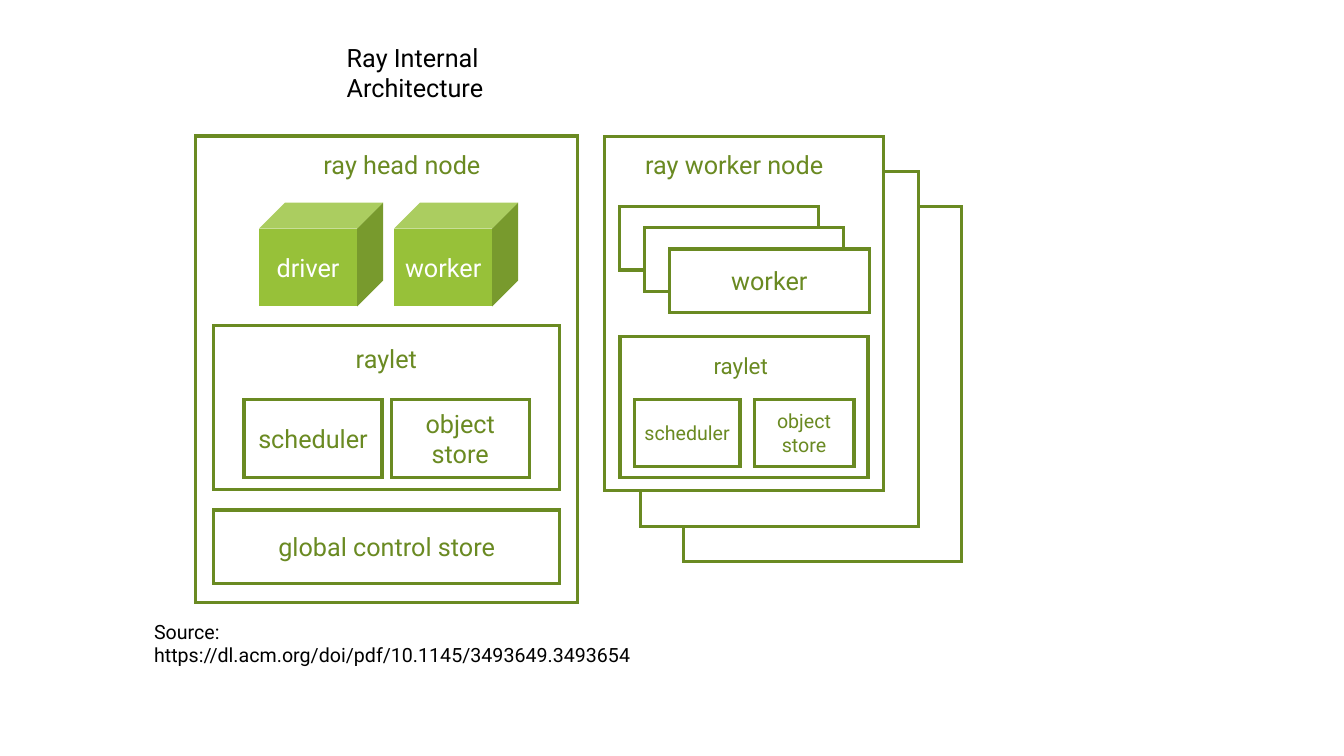
from lxml import etree
from pptx import Presentation
from pptx.dml.color import RGBColor
from pptx.enum.shapes import MSO_SHAPE as SHAPE
from pptx.enum.text import MSO_ANCHOR as ANCHOR, PP_ALIGN as ALIGN
from pptx.oxml.ns import qn
from pptx.util import Pt

PX = 9144  # 100 px to the inch
GREEN = RGBColor(0x6A, 0x8A, 0x22)
LIME = RGBColor(0x97, 0xC1, 0x39)
WHITE = RGBColor(0xFF, 0xFF, 0xFF)
BLACK = RGBColor(0x00, 0x00, 0x00)
FONT = "Roboto"

# Labels: text, (left, top, width, height), size, colour
LABELS = [
    ("Ray Internal\vArchitecture", (334, 37, 289, 70), 18, BLACK),
    ("Source:\vhttps://dl.acm.org/doi/pdf/10.1145/3493649.3493654",
     (143, 610, 540, 57), 14, BLACK),
    ("ray head node", (311, 143, 178, 40), 18, GREEN),
    ("raylet", (343, 336, 82, 40), 18, GREEN),
    ("ray worker node", (630, 143, 215, 43), 18, GREEN),
    ("raylet", (698, 344, 76, 37), 16, GREEN),
]

# Boxes: text, (left, top, width, height), size
HEAD_BOXES = [
    ("", (194, 135, 379, 463), 18),
    ("global control store", (212, 506, 343, 73), 18),
    ("", (212, 323, 343, 163), 18),
    ("scheduler", (242, 396, 137, 78), 18),
    ("object store", (388, 396, 137, 78), 18),
]
WORKER_RAYLET_BOXES = [
    ("", (615, 334, 246, 140), 18),
    ("scheduler", (629, 396, 105, 67), 14),
    ("object store", (748, 396, 99, 67), 14),
]
HEAD_PROCESSES = ["driver", "worker"]
CUBE_LEFT, CUBE_TOP, CUBE_WIDTH, CUBE_HEIGHT, CUBE_STEP = 257, 201, 123, 103, 134

# Stacks run from back to front
NODE_CORNERS = [(678, 205), (635, 170), (600, 135)]
NODE_SIZE = (276, 352)
WORKER_STACK = ["", "", "worker"]
WORKER_LEFT, WORKER_TOP, WORKER_SIZE = 614, 205, (198, 63)
WORKER_STEP_X, WORKER_STEP_Y = 25, 21


def scaled(box):
    return [v * PX for v in box]


def style_text(tf, text, size, color, align):
    tf.word_wrap = True
    p = tf.paragraphs[0]
    p.text = text
    p.alignment = align
    p.font.name = FONT
    p.font.size = Pt(size)
    p.font.color.rgb = color


def add_label(text, box, size, color):
    tf = s.shapes.add_textbox(*scaled(box)).text_frame
    style_text(tf, text, size, color, ALIGN.LEFT)


def add_block(text, box, size=18, kind=SHAPE.RECTANGLE, fill=None,
              line=GREEN, color=GREEN):
    sp = s.shapes.add_shape(kind, *scaled(box))
    sp.shadow.inherit = False
    if fill is None:
        sp.fill.background()
    else:
        sp.fill.solid()
        sp.fill.fore_color.rgb = fill
    if line is None:
        sp.line.fill.background()
    else:
        sp.line.color.rgb = line
        sp.line.width = Pt(2.25)
        ln = sp.element.spPr.find(qn("a:ln"))
        etree.SubElement(ln, qn("a:miter"), lim="800000")
    if text:
        tf = sp.text_frame
        tf.margin_left = tf.margin_right = 8 * PX
        tf.vertical_anchor = ANCHOR.MIDDLE
        style_text(tf, text, size, color, ALIGN.CENTER)


prs = Presentation()
prs.slide_width, prs.slide_height = 1333 * PX, 750 * PX
s = prs.slides.add_slide(prs.slide_layouts[6])

for text, box, size in HEAD_BOXES:
    add_block(text, box, size)
for i, text in enumerate(HEAD_PROCESSES):
    box = (CUBE_LEFT + i * CUBE_STEP, CUBE_TOP, CUBE_WIDTH, CUBE_HEIGHT)
    add_block(text, box, kind=SHAPE.CUBE, fill=LIME, line=None, color=WHITE)

for i, corner in enumerate(NODE_CORNERS):
    add_block("", corner + NODE_SIZE, fill=WHITE if i else None)
for text, box, size in WORKER_RAYLET_BOXES:
    add_block(text, box, size)
for i, text in enumerate(WORKER_STACK):
    corner = (WORKER_LEFT + i * WORKER_STEP_X, WORKER_TOP + i * WORKER_STEP_Y)
    add_block(text, corner + WORKER_SIZE, fill=WHITE if i else None)

for label in LABELS:
    add_label(*label)

prs.save("out.pptx")
